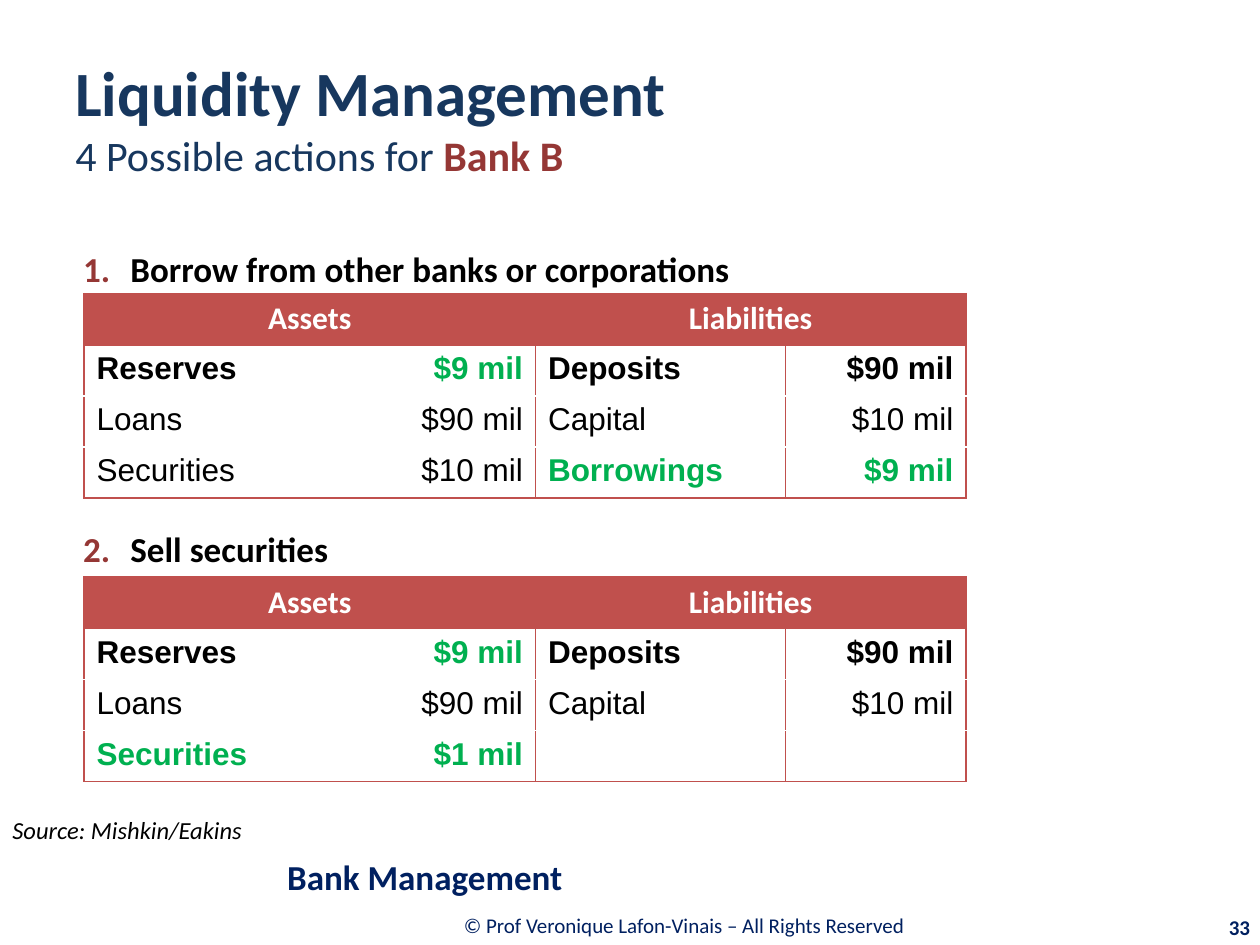
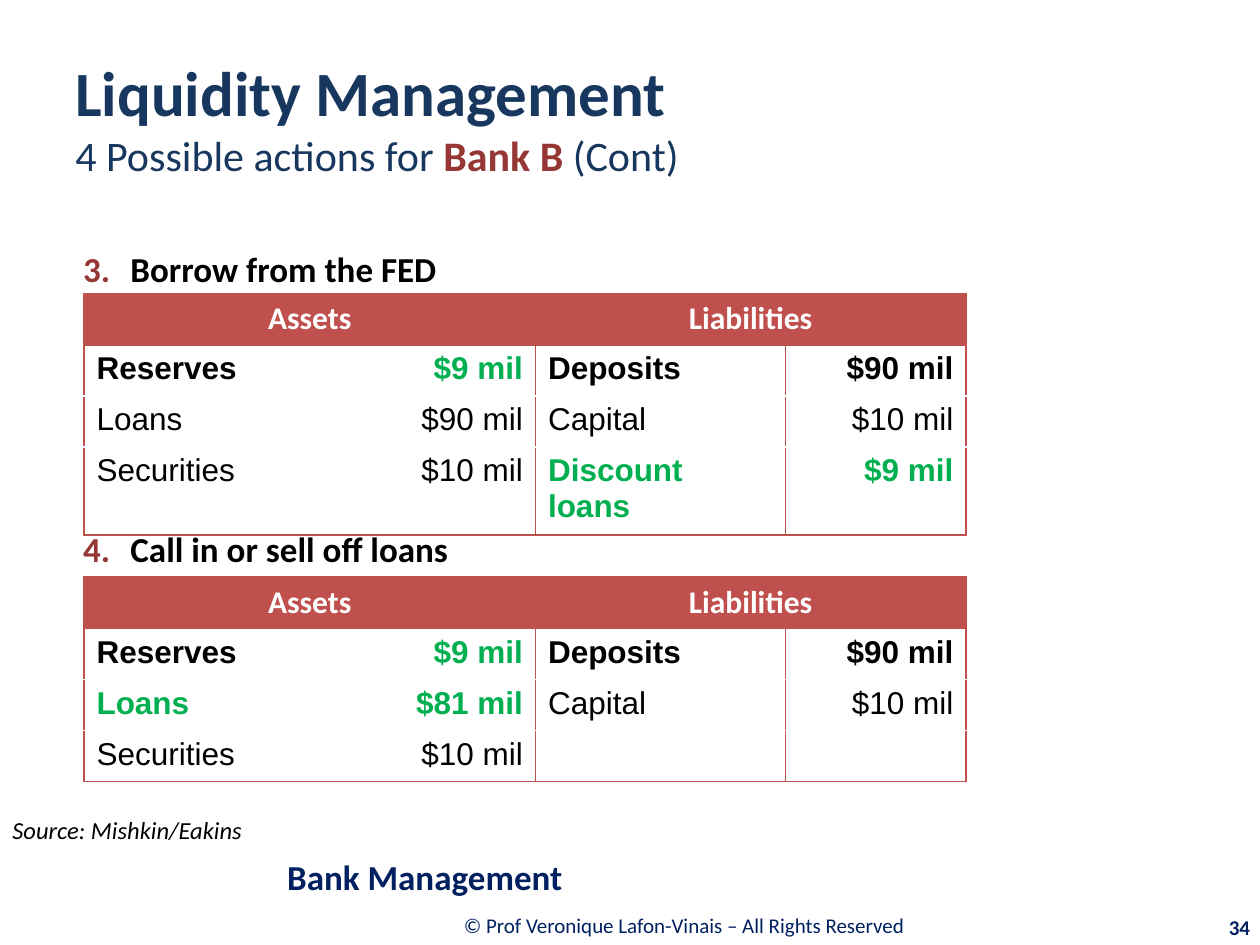
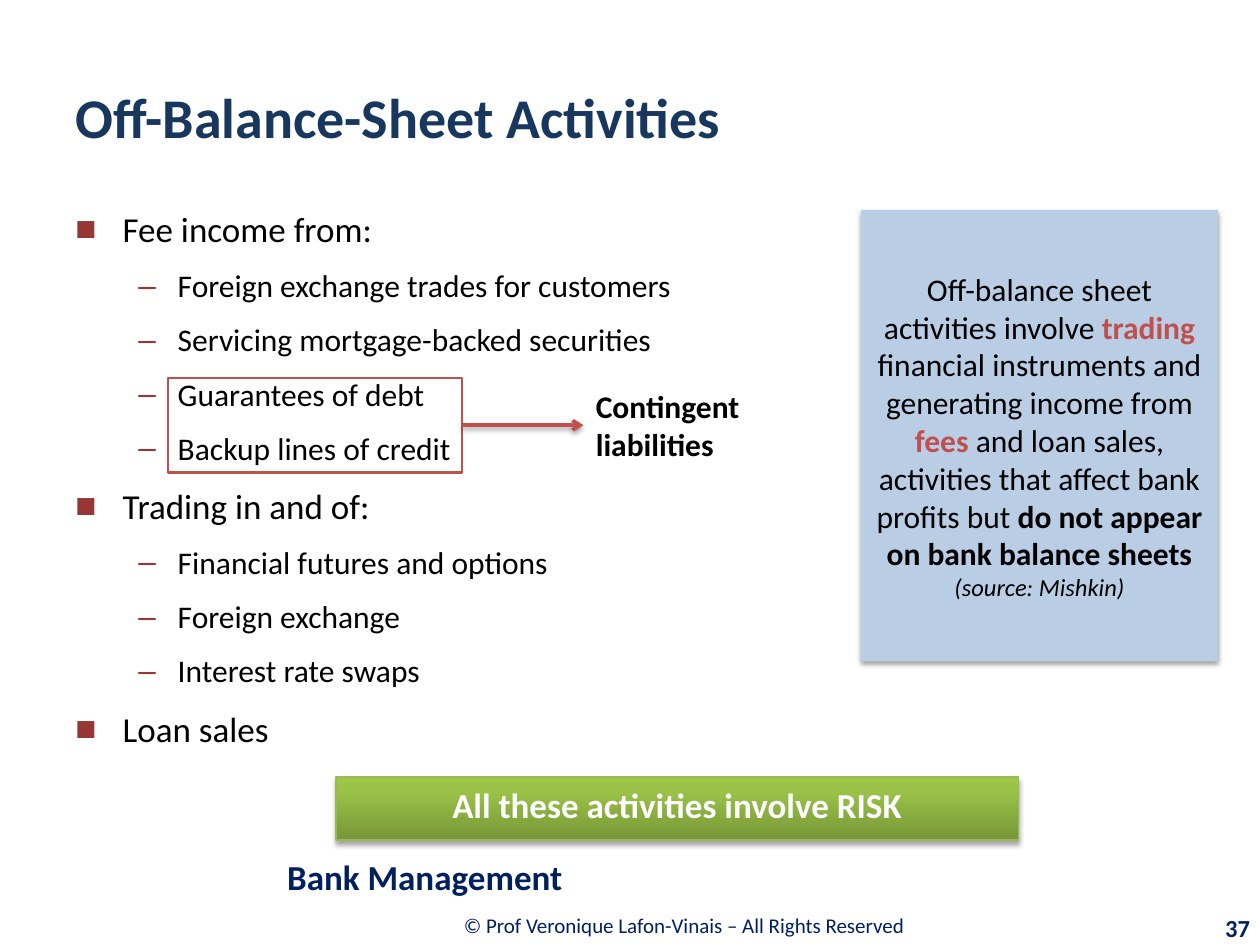
from copy import deepcopy
from dataclasses import dataclass

from lxml.etree import SubElement
from pptx import Presentation
from pptx.dml.color import RGBColor as RGB
from pptx.enum.shapes import MSO_CONNECTOR as CONNECTOR, MSO_SHAPE as SHAPE
from pptx.enum.text import MSO_ANCHOR as ANCHOR, PP_ALIGN as ALIGN
from pptx.oxml.ns import qn
from pptx.util import Pt


@dataclass(frozen=True)
class Theme:
    font: str = "Calibri"
    figures_font: str = "Arial"
    title: str = "17375E"
    accent: str = "953735"
    red: str = "C0504D"
    green: str = "00B050"
    navy: str = "002060"
    black: str = "000000"
    white: str = "FFFFFF"
    callout: str = "B9CDE5"
    banner_line: str = "98B955"
    banner_stops: tuple = ((0, "779737"), (0.8, "9BC348"), (1, "9DC746"))
    title_size: int = 36
    single_title_size: int = 32
    subtitle_size: int = 24
    heading_size: int = 20
    text_size: int = 18
    note_size: int = 14
    footer_size: int = 12


theme = Theme()


def add_box(slide, left, top, width, height, anchor=ANCHOR.MIDDLE):
    box = slide.shapes.add_textbox(Pt(left), Pt(top), Pt(width), Pt(height))
    box.text_frame.word_wrap = True
    box.text_frame.vertical_anchor = anchor
    return box


def write(paragraph, *runs, align=ALIGN.LEFT, font=theme.font, bullet=None, spacing=None):
    """Each run is (text, size, colour, style); style holds b for bold, i for italic."""
    paragraph.alignment = align
    for text, size, colour, style in runs:
        if text == "\n":
            paragraph.add_line_break()
            continue
        run = paragraph.add_run()
        run.text = text
        run.font.name = font
        run.font.size = Pt(size)
        run.font.color.rgb = RGB.from_string(colour)
        run.font.bold = "b" in style
        run.font.italic = "i" in style
    if spacing:
        paragraph.line_spacing = spacing
        paragraph.space_before = Pt(0.16 * runs[0][1])
    if bullet:
        margin, hanging, tag, marker = bullet
        props = paragraph._p.get_or_add_pPr()
        props.set("marL", str(Pt(margin)))
        props.set("indent", str(-Pt(hanging)))
        SubElement(SubElement(props, qn("a:buClr")), qn("a:srgbClr"), val=theme.accent)
        SubElement(props, qn("a:buFont"), typeface=theme.font if tag == "a:buAutoNum" else theme.figures_font)
        SubElement(props, qn(tag), marker)


deck = Presentation()
deck.slide_width, deck.slide_height = Pt(720), Pt(540)

# Shared title and footers; each page is (number, number size, title runs)
bank_title = [
    ("Liquidity Management", theme.title_size, theme.title, "b"),
    ("\n", theme.title_size, theme.title, "b"),
    ("4 Possible actions for ", theme.subtitle_size, theme.title, ""),
    ("Bank B", theme.subtitle_size, theme.accent, "b"),
]
pages = [
    ("33", theme.footer_size, bank_title),
    ("34", theme.footer_size, bank_title + [(" (Cont)", theme.subtitle_size, theme.title, "")]),
    ("37", theme.note_size,
     [("Off-Balance-Sheet Activities", theme.single_title_size, theme.title, "b")]),
]
for number, number_size, title_runs in pages:
    slide = deck.slides.add_slide(deck.slide_layouts[6])
    title = add_box(slide, 36, 21.6, 648, 90)
    write(title.text_frame.paragraphs[0], *title_runs)
    rights = add_box(slide, 157.7, 514.8, 466.6, 28)
    write(rights.text_frame.paragraphs[0],
          ("© Prof Veronique Lafon-Vinais – All Rights Reserved", theme.footer_size, theme.navy, ""),
          align=ALIGN.CENTER)
    page_number = add_box(slide, 648.7, 518.4, 72.7, 23)
    write(page_number.text_frame.paragraphs[0],
          (number, number_size, theme.navy, "b"), align=ALIGN.RIGHT)
    course = add_box(slide, 157, 483.8, 563, 33.8)
    write(course.text_frame.paragraphs[0],
          ("Bank Management", theme.heading_size, theme.navy, "b"))

# Balance sheets: two actions a slide; * marks a changed entry, + an entry in bold
reserves = ("+Reserves", "*$9 mil", "+Deposits", "+$90 mil")
loans = ("Loans", "$90 mil", "Capital", "$10 mil")
actions = [
    ("Borrow from other banks or corporations",
     [reserves, loans, ("Securities", "$10 mil", "*Borrowings", "*$9 mil")]),
    ("Sell securities",
     [reserves, loans, ("*Securities", "*$1 mil", "", "")]),
    ("Borrow from the FED",
     [reserves, loans, ("Securities", "$10 mil", "*Discount loans", "*$9 mil")]),
    ("Call in or sell off loans",
     [reserves, ("*Loans", "*$81 mil", "Capital", "$10 mil"), ("Securities", "$10 mil", "", "")]),
]
column_widths = (160, 98, 143, 103)
row_height = 29.2
no_grid_style = "{2D5ABB26-0587-4C30-8999-92F81FD0307C}"

for index, (action, entries) in enumerate(actions):
    slide = deck.slides[index // 2]
    lower = index % 2
    heading = add_box(slide, 36, 126 + 160 * lower, 648, 44, ANCHOR.TOP)
    write(heading.text_frame.paragraphs[0], (action, theme.heading_size, theme.black, "b"),
          bullet=(31.5, 27, "a:buAutoNum", {"type": "arabicPeriod", "startAt": str(index + 1)}),
          spacing=1.5)

    sheet = slide.shapes.add_table(4, 4, Pt(48), Pt(167.8 + 162 * lower),
                                   Pt(sum(column_widths)), Pt(4 * row_height)).table
    sheet._tbl.tblPr.find(qn("a:tableStyleId")).text = no_grid_style
    for column, width in zip(sheet.columns, column_widths):
        column.width = Pt(width)
    for row in sheet.rows:
        row.height = Pt(row_height)
    for first in (0, 2):
        sheet.cell(0, first).merge(sheet.cell(0, first + 1))

    for r, row in enumerate([("Assets", "", "Liabilities", "")] + entries):
        for c, entry in enumerate(row):
            cell = sheet.cell(r, c)
            label = entry.lstrip("*+")
            if r == 0 and label:
                write(cell.text_frame.paragraphs[0],
                      (label, theme.text_size, theme.white, "b"), align=ALIGN.CENTER)
            elif label:
                write(cell.text_frame.paragraphs[0],
                      (label, theme.text_size, theme.green if entry[0] == "*" else theme.black,
                       "b" if entry != label else ""),
                      align=ALIGN.RIGHT if c % 2 else ALIGN.LEFT, font=theme.figures_font)
            # Red frame and column lines, white lines between entries
            edges = {"a:lnT": theme.white if r > 1 else theme.red,
                     "a:lnB": theme.white if r in (1, 2) else theme.red}
            if c != 1:
                edges["a:lnL"] = theme.red
            if c != 0:
                edges["a:lnR"] = theme.red
            for tag in ("a:lnL", "a:lnR", "a:lnT", "a:lnB"):
                if tag in edges:
                    edge = SubElement(cell._tc.get_or_add_tcPr(), qn(tag), w=str(Pt(1)))
                    SubElement(SubElement(edge, qn("a:solidFill")), qn("a:srgbClr"), val=edges[tag])
            cell.fill.solid()
            cell.fill.fore_color.rgb = RGB.from_string(theme.white if r else theme.red)

# Source line under the balance sheets
for slide in list(deck.slides)[:2]:
    source = add_box(slide, 0, 462.2, 234, 24.5, ANCHOR.TOP)
    write(source.text_frame.paragraphs[0],
          ("Source: Mishkin/Eakins", theme.note_size, theme.black, "i"))

# Off-balance-sheet activities
slide = deck.slides[2]
activities = [
    ("Fee income from:", ["Foreign exchange trades for customers",
                          "Servicing mortgage-backed securities",
                          "Guarantees of debt", "Backup lines of credit"]),
    ("Trading in and of:", ["Financial futures and options", "Foreign exchange",
                            "Interest rate swaps"]),
    ("Loan sales", []),
]
outline = add_box(slide, 36, 108, 648, 356, ANCHOR.TOP).text_frame
paragraph = outline.paragraphs[0]
for group, items in activities:
    if paragraph.runs:
        paragraph = outline.add_paragraph()
    write(paragraph, (group, theme.heading_size, theme.black, ""),
          bullet=(27, 27, "a:buChar", {"char": "■"}), spacing=1.3)
    for item in items:
        paragraph = outline.add_paragraph()
        paragraph.level = 1
        write(paragraph, (item, theme.text_size, theme.black, ""),
              bullet=(58.5, 22.5, "a:buChar", {"char": "–"}), spacing=1.3)

# Definition callout
definition = slide.shapes.add_shape(SHAPE.RECTANGLE, Pt(492), Pt(120), Pt(204), Pt(258))
definition.fill.solid()
definition.fill.fore_color.rgb = RGB.from_string(theme.callout)
definition.line.fill.background()
definition.text_frame.word_wrap = True
definition.text_frame.vertical_anchor = ANCHOR.MIDDLE
write(definition.text_frame.paragraphs[0],
      ("Off-balance sheet activities involve ", theme.text_size, theme.black, ""),
      ("trading ", theme.text_size, theme.red, "b"),
      ("financial instruments and generating income from ", theme.text_size, theme.black, ""),
      ("fees ", theme.text_size, theme.red, "b"),
      ("and loan sales, activities that affect bank profits but ", theme.text_size, theme.black, ""),
      ("do not appear on bank balance sheets", theme.text_size, theme.black, "b"),
      align=ALIGN.CENTER)
write(definition.text_frame.add_paragraph(),
      ("(source: Mishkin)", theme.note_size, theme.black, "i"), align=ALIGN.CENTER)

# Risk banner
risk = slide.shapes.add_shape(SHAPE.RECTANGLE, Pt(192), Pt(444), Pt(390), Pt(36))
risk.fill.gradient()
risk.fill.gradient_angle = 90
stop_list = risk._element.spPr.find(qn("a:gradFill")).find(qn("a:gsLst"))
stop_list.append(deepcopy(stop_list[0]))
for stop, (position, colour) in zip(risk.fill.gradient_stops, theme.banner_stops):
    stop.position = position
    stop.color.rgb = RGB.from_string(colour)
risk.line.color.rgb = RGB.from_string(theme.banner_line)
risk.line.width = Pt(0.75)
risk.text_frame.vertical_anchor = ANCHOR.MIDDLE
write(risk.text_frame.paragraphs[0],
      ("All these activities involve RISK", theme.heading_size, theme.white, "b"),
      align=ALIGN.CENTER, spacing=0.8)

# Contingent liabilities: frame, label and the arrow between them
guarantees = slide.shapes.add_shape(SHAPE.RECTANGLE, Pt(96), Pt(216), Pt(168), Pt(54))
guarantees.fill.background()
guarantees.line.color.rgb = RGB.from_string(theme.red)
guarantees.line.width = Pt(1.5)
guarantees.shadow.inherit = False

contingent = add_box(slide, 333.4, 207, 144, 72)
write(contingent.text_frame.paragraphs[0], ("Contingent", theme.text_size, theme.black, "b"))
write(contingent.text_frame.add_paragraph(), ("liabilities", theme.text_size, theme.black, "b"))

arrow = slide.shapes.add_connector(CONNECTOR.STRAIGHT, Pt(264), Pt(243), Pt(333.4), Pt(243))
arrow.begin_connect(guarantees, 3)
arrow.end_connect(contingent, 1)
arrow.line.color.rgb = RGB.from_string(theme.red)
arrow.line.width = Pt(2)
SubElement(arrow._element.spPr.find(qn("a:ln")), qn("a:tailEnd"), type="arrow")

# Soft shadows below the callout, the banner and the arrow
for shaded, distance, opacity in ((definition, 1.6, 38), (risk, 1.8, 35), (arrow, 1.6, 38)):
    effects = SubElement(shaded._element.spPr, qn("a:effectLst"))
    shadow = SubElement(effects, qn("a:outerShdw"), blurRad=str(Pt(3.1)),
                        dist=str(Pt(distance)), dir="5400000", rotWithShape="0")
    shade = SubElement(shadow, qn("a:srgbClr"), val=theme.black)
    SubElement(shade, qn("a:alpha"), val=str(opacity * 1000))

deck.save("out.pptx")
